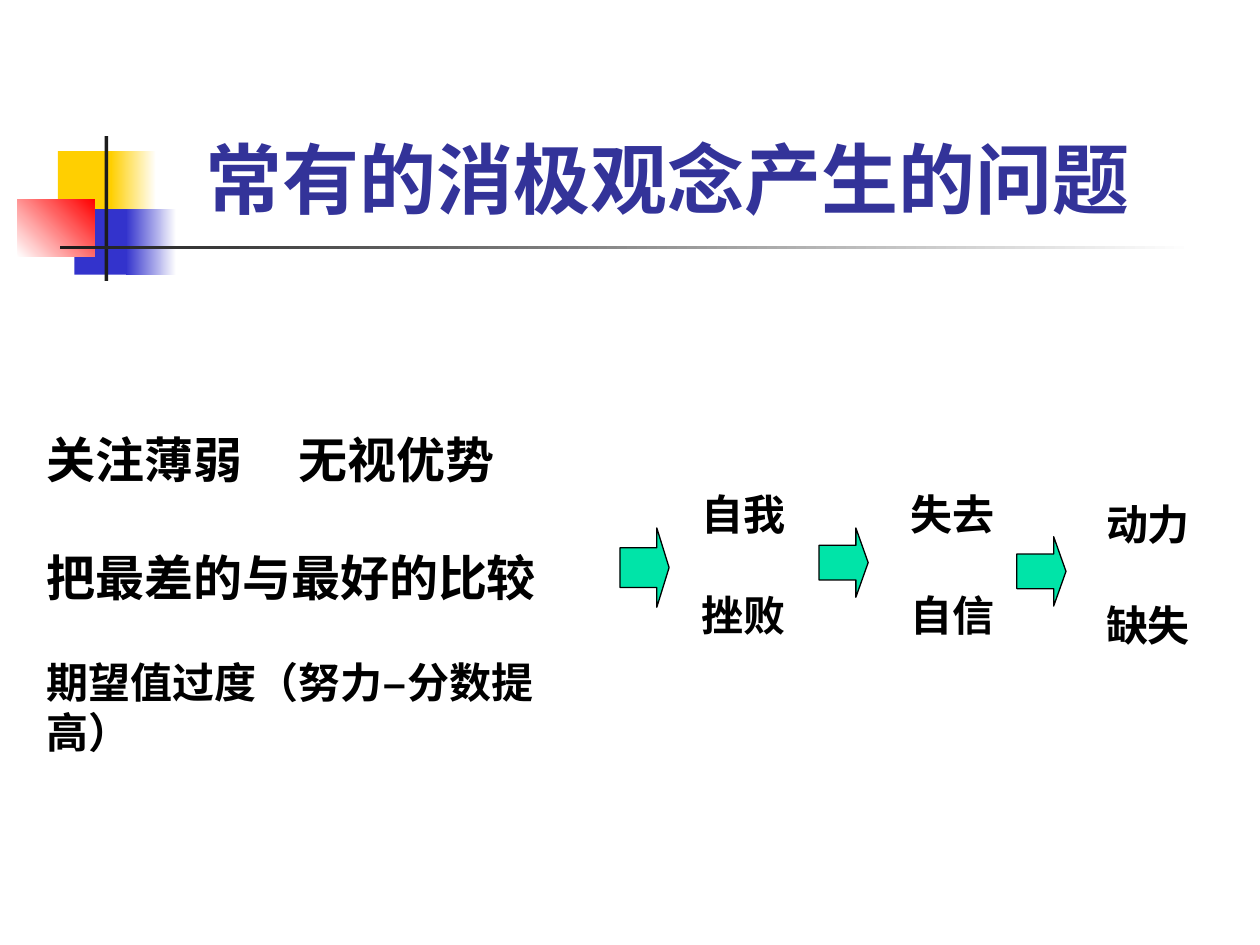
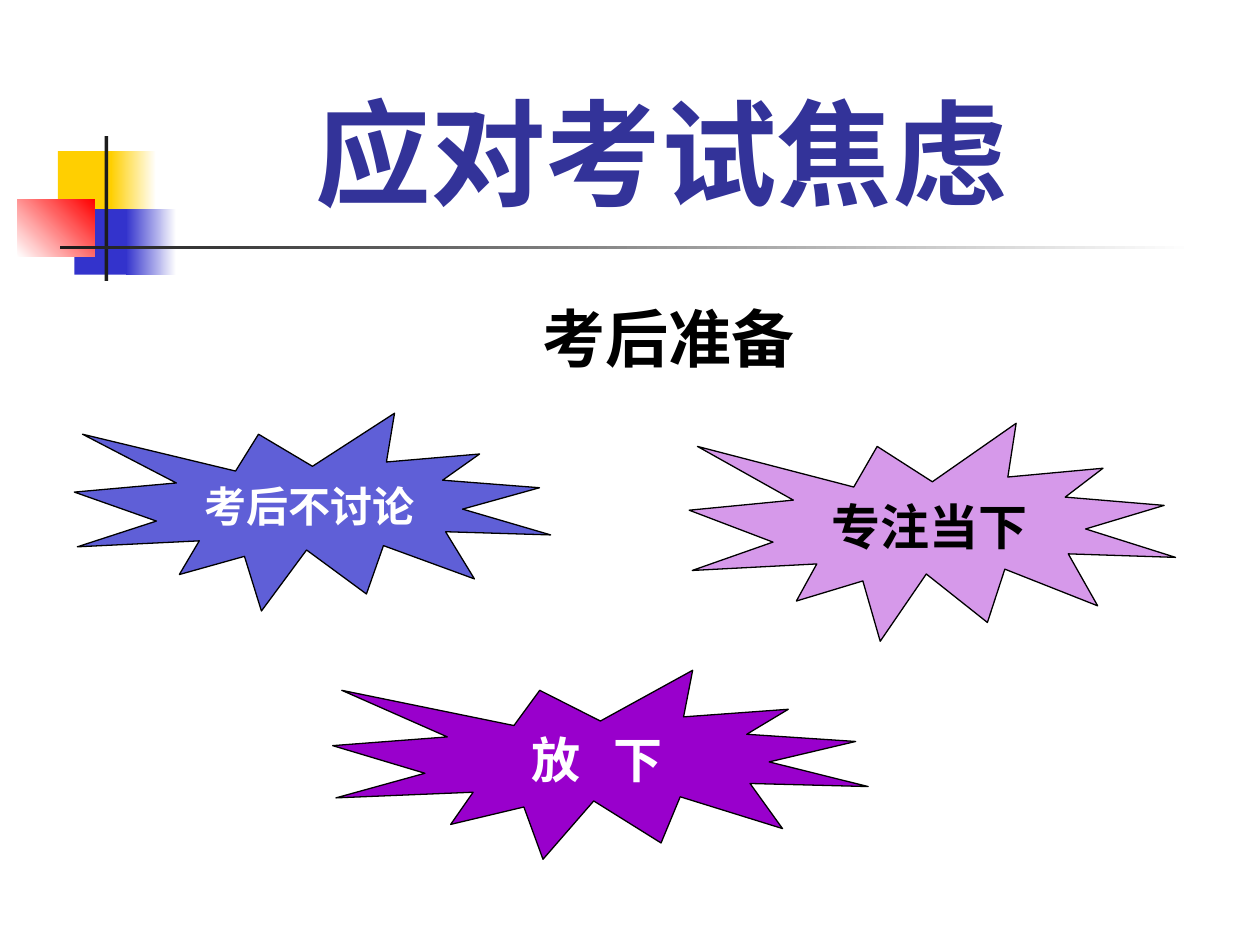
from dataclasses import dataclass

from lxml.etree import SubElement
from pptx import Presentation
from pptx.dml.color import RGBColor
from pptx.enum.shapes import MSO_SHAPE
from pptx.enum.text import MSO_ANCHOR, MSO_AUTO_SIZE, PP_ALIGN
from pptx.oxml.ns import qn
from pptx.util import Pt

PX = 9144  # EMU per px, 100 px to the inch
FONT = "Cabin"
WHITE, BLACK, DARK = "FFFFFF", "000000", "1C1C1C"
GOLD, RED, BLUE = "FFCF01", "FF0000", "3333CC"
NAVY, GREEN, PURPLE = "333399", "00E4A8", "9900CC"


@dataclass
class Box:
    x: int
    y: int
    w: int
    h: int

    def emu(self) -> tuple[int, ...]:
        return tuple(n * PX for n in (self.x, self.y, self.w, self.h))


@dataclass
class Patch:
    box: Box
    color: str
    fade: int | None = None  # angle of a fade from white


@dataclass
class Step:
    arrow: Box
    label: Box
    words: list[str]


@dataclass
class Burst:
    box: Box
    words: str
    size: int
    fill: str
    alpha: int = 100
    ink: str = WHITE
    track: int = 0


PATCHES = [
    Patch(Box(46, 120, 48, 52), GOLD),
    Patch(Box(88, 120, 36, 52), GOLD, 180),
    Patch(Box(59, 166, 46, 52), BLUE),
    Patch(Box(100, 166, 40, 52), BLUE, 180),
    Patch(Box(14, 158, 61, 46), RED, 45),
    Patch(Box(83, 108, 3, 115), DARK),
    Patch(Box(48, 195, 900, 3), DARK, 180),
]

STEPS = [
    Step(Box(492, 419, 39, 63), Box(547, 383, 102, 130), ["自我", "挫败"]),
    Step(Box(650, 419, 39, 55), Box(713, 383, 110, 130), ["失去", "自信"]),
    Step(Box(807, 426, 39, 55), Box(868, 391, 96, 130), ["动力", "缺失"]),
]

BURSTS = [
    Burst(Box(59, 328, 378, 157), "考后不讨论", 24, BLUE, 78),
    Burst(Box(264, 532, 425, 150), "放 下", 28, PURPLE, track=650),
    Burst(Box(547, 336, 386, 173), "专注当下", 28, PURPLE, 40, BLACK),
]


def rgb(code: str) -> RGBColor:
    return RGBColor.from_string(code)


def place(shape, box: Box) -> None:
    shape.left, shape.top, shape.width, shape.height = box.emu()


def write(frame, text: str, size: float, color: str = BLACK, *, first: bool = True,
          gap: float = 0, align=PP_ALIGN.LEFT, tab: int = 0, track: int = 0) -> None:
    """Put one bold paragraph into a text frame."""
    para = frame.paragraphs[0] if first else frame.add_paragraph()
    props = para._p.get_or_add_pPr()
    props.set("marL", "0")
    props.set("indent", "0")
    SubElement(props, qn("a:buNone"))
    if tab:
        stops = SubElement(props, qn("a:tabLst"))
        SubElement(stops, qn("a:tab"), pos=str(tab * PX), algn="l")
    para.alignment = align
    para.space_before = Pt(gap)
    run = para.add_run()
    run.text = text
    font = run.font
    font.size, font.bold, font.name = Pt(size), True, FONT
    font.color.rgb = rgb(color)
    mark = font._element
    SubElement(mark, qn("a:ea"), typeface=FONT)
    if track:
        mark.set("spc", str(track))


def draw(slide, kind, box: Box, fill: str, line: bool = True):
    """Add a flat preset shape, with a thin black line or none."""
    shape = slide.shapes.add_shape(kind, *box.emu())
    shape.shadow.inherit = False
    shape.fill.solid()
    shape.fill.fore_color.rgb = rgb(fill)
    if line:
        shape.line.color.rgb = rgb(BLACK)
        shape.line.width = Pt(0.75)
    else:
        shape.line.fill.background()
    return shape


def label(slide, box: Box):
    frame = slide.shapes.add_textbox(*box.emu()).text_frame
    frame.word_wrap = True
    return frame


def title(slide, box: Box, text: str, size: int) -> None:
    shape = slide.shapes.title
    place(shape, box)
    frame = shape.text_frame
    frame.auto_size = MSO_AUTO_SIZE.NONE
    frame.vertical_anchor = MSO_ANCHOR.BOTTOM
    write(frame, text, size, NAVY)


def deco(deck, slide) -> None:
    """Draw the corner patches and rule, then move them to the master."""
    tree = deck.slide_master.element.cSld.spTree
    for i, patch in enumerate(PATCHES):
        shape = draw(slide, MSO_SHAPE.RECTANGLE, patch.box, patch.color, False)
        if patch.fade is not None:
            shape.fill.gradient()
            shape.fill.gradient_angle = patch.fade
            for stop, color in zip(shape.fill.gradient_stops, (WHITE, patch.color)):
                stop.color.rgb = rgb(color)
        shape.element.xpath(".//p:cNvPr")[0].set("id", str(20 + i))
        tree.insert(2 + i, shape.element)


def causes(slide) -> None:
    title(slide, Box(153, 60, 839, 123), "常有的消极观念产生的问题", 44)

    # Negative beliefs
    body = slide.placeholders[1]
    place(body, Box(27, 336, 459, 270))
    frame = body.text_frame
    frame.auto_size = MSO_AUTO_SIZE.NONE
    write(frame, "关注薄弱\t无视优势", 28, tab=200)
    write(frame, "把最差的与最好的比较", 28, first=False, gap=33.5)
    write(frame, "期望值过度（努力—分数提高）", 24, first=False, gap=28.8)

    # Chain of effects
    for step in STEPS:
        arrow = draw(slide, MSO_SHAPE.RIGHT_ARROW, step.arrow, GREEN)
        arrow.adjustments[0], arrow.adjustments[1] = 0.5, 0.25
        frame = label(slide, step.label)
        for i, word in enumerate(step.words):
            write(frame, word, 24, first=i == 0, gap=28.8 * i)


def advice(slide) -> None:
    title(slide, Box(240, 60, 602, 120), "应对考试焦虑", 66)

    # Bursts of advice
    for burst in BURSTS:
        shape = draw(slide, MSO_SHAPE.EXPLOSION1, burst.box, burst.fill)
        if burst.alpha < 100:
            tint = shape.element.spPr.find(qn("a:solidFill"))[0]
            SubElement(tint, qn("a:alpha"), val=str(burst.alpha * 1000))
        frame = shape.text_frame
        frame.word_wrap = False
        frame.vertical_anchor = MSO_ANCHOR.MIDDLE
        write(frame, burst.words, burst.size, burst.ink,
              align=PP_ALIGN.CENTER, track=burst.track)

    # Heading
    write(label(slide, Box(421, 233, 228, 70)), "考后准备", 36)


def main() -> None:
    deck = Presentation()
    deck.slide_width, deck.slide_height = 1000 * PX, 750 * PX
    one = deck.slides.add_slide(deck.slide_layouts[1])
    two = deck.slides.add_slide(deck.slide_layouts[5])
    deco(deck, one)
    causes(one)
    advice(two)
    deck.save("out.pptx")


if __name__ == "__main__":
    main()
